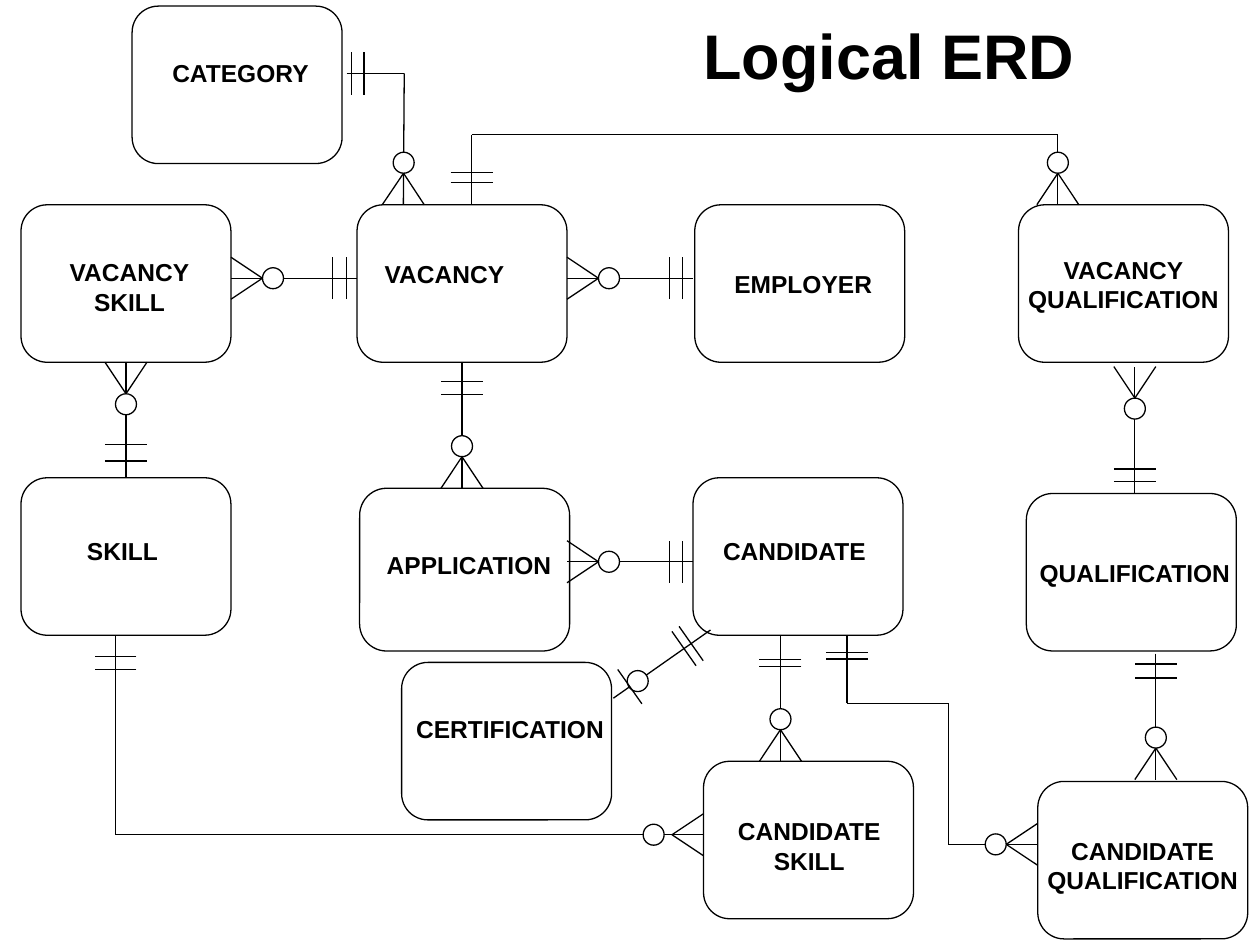
from dataclasses import dataclass
from math import hypot

from lxml.etree import SubElement
from pptx import Presentation
from pptx.dml.color import RGBColor
from pptx.enum.shapes import MSO_CONNECTOR, MSO_SHAPE
from pptx.enum.text import MSO_AUTO_SIZE, PP_ALIGN
from pptx.oxml.ns import qn
from pptx.util import Pt

Point = tuple[float, float]

FONT = "Arial"
BLACK = "000000"
WHITE = "FFFFFF"
LINE_WIDTH = 0.75
ENTITY_WIDTH = 120
FOOT_LENGTH = 18
TICK_HALF = 12
RING_SIZE = 12


@dataclass
class Entity:
    name: str
    left: float
    top: float
    label_center: float
    label_top: float
    label_width: float
    height: float = 90


@dataclass
class Relation:
    route: tuple[Point, ...]
    ticks: tuple[float, float]
    ring: float = 24
    many: bool = True


ENTITIES = [
    Entity("CATEGORY", 75.5, 3.5, 137.5, 29.5, 93.5),
    Entity("VACANCY\nSKILL", 12, 117, 74, 143.5, 83.5),
    Entity("VACANCY", 204, 117, 254, 144.5, 83.5),
    Entity("EMPLOYER", 397, 117, 459, 150, 93),
    Entity("VACANCY\nQUALIFICATION", 582, 117, 642, 142, 124),
    Entity("SKILL", 12, 273, 70, 303, 55),
    Entity("APPLICATION", 205.5, 279, 268, 311, 109.5, 93),
    Entity("CANDIDATE", 396, 273, 454, 303, 97),
    Entity("QUALIFICATION", 586.5, 282, 648.5, 315.5, 124),
    Entity("CERTIFICATION", 229.5, 378.5, 291.5, 404.5, 122.5),
    Entity("CANDIDATE\nSKILL", 402, 435, 462.5, 463, 97),
    Entity("CANDIDATE\nQUALIFICATION", 593, 446.5, 653, 474, 124),
]

RELATIONS = [
    Relation(((198, 42), (231, 42), (230.5, 117)), (3, 10)),
    Relation(((204, 159), (132, 159)), (6, 14)),
    Relation(((396, 159), (324, 159)), (6, 13.5)),
    Relation(((269.5, 117), (269.5, 77), (604.5, 77), (604.5, 117)), (12.5, 18.5)),
    Relation(((72, 273), (72, 207)), (9.5, 19)),
    Relation(((264, 207), (264, 279)), (11, 18.5)),
    Relation(((396, 321), (324, 321)), (6, 13.5)),
    Relation(((648.5, 281.5), (648.5, 209.5)), (6.5, 13.5)),
    Relation(((660.5, 373.5), (660.5, 445.5)), (6, 14)),
    Relation(((66, 363), (66, 477), (402, 477)), (12, 19.5), ring=28.5),
    Relation(((446, 363), (446, 435)), (14, 18)),
    Relation(((484, 363), (484, 402), (542, 402), (542, 482.5), (593, 482.5)), (10, 13.5)),
    Relation(((406, 360), (350.5, 399)), (13.5, 18.5), ring=17, many=False),
]


def color(hex_value: str) -> RGBColor:
    return RGBColor.from_string(hex_value)


def add_outlined(s, kind, left: float, top: float, width: float, height: float):
    sp = s.shapes.add_shape(kind, Pt(left), Pt(top), Pt(width), Pt(height))
    sp.shadow.inherit = False
    sp.fill.solid()
    sp.fill.fore_color.rgb = color(WHITE)
    sp.line.color.rgb = color(BLACK)
    sp.line.width = Pt(LINE_WIDTH)
    return sp


def add_label(s, text: str, left: float, top: float, width: float,
              height: float, size: float, wrap: bool) -> None:
    tf = s.shapes.add_textbox(Pt(left), Pt(top), Pt(width), Pt(height)).text_frame
    tf.word_wrap = wrap
    tf.auto_size = MSO_AUTO_SIZE.SHAPE_TO_FIT_TEXT
    tf.text = text
    for p in tf.paragraphs:
        p.alignment = PP_ALIGN.CENTER
        p.font.name = FONT
        p.font.size = Pt(size)
        p.font.bold = True
        p.font.color.rgb = color(BLACK)


def add_line(s, start: Point, end: Point):
    c = s.shapes.add_connector(MSO_CONNECTOR.STRAIGHT, *map(Pt, start + end))
    c.line.color.rgb = color(BLACK)
    c.line.width = Pt(LINE_WIDTH)
    SubElement(c._element.spPr, qn("a:effectLst"))
    return c


def add_entity(s, e: Entity) -> dict:
    sp = add_outlined(s, MSO_SHAPE.FLOWCHART_ALTERNATE_PROCESS,
                      e.left, e.top, ENTITY_WIDTH, e.height)
    label_height = 41 if "\n" in e.name else 24.5
    add_label(s, e.name, e.label_center - e.label_width / 2, e.label_top,
              e.label_width, label_height, 14, False)
    middle_x, middle_y = e.left + ENTITY_WIDTH / 2, e.top + e.height / 2
    sides = [(middle_x, e.top), (e.left, middle_y),
             (middle_x, e.top + e.height), (e.left + ENTITY_WIDTH, middle_y)]
    return {side: (sp, i) for i, side in enumerate(sides)}


def offset(origin: Point, toward: Point, along: float, across: float = 0) -> Point:
    dx, dy = toward[0] - origin[0], toward[1] - origin[1]
    length = hypot(dx, dy)
    ux, uy = dx / length, dy / length
    return origin[0] + ux * along - uy * across, origin[1] + uy * along + ux * across


def add_tick(s, origin: Point, toward: Point, along: float) -> None:
    add_line(s, offset(origin, toward, along, -TICK_HALF),
             offset(origin, toward, along, TICK_HALF))


def add_relation(s, rel: Relation, sites: dict) -> None:
    for start, end in zip(rel.route, rel.route[1:]):
        c = add_line(s, start, end)
        if start in sites:
            c.begin_connect(*sites[start])
        if end in sites:
            c.end_connect(*sites[end])
    for along in rel.ticks:
        add_tick(s, rel.route[0], rel.route[1], along)
    end, before = rel.route[-1], rel.route[-2]
    x, y = offset(end, before, rel.ring)
    add_outlined(s, MSO_SHAPE.OVAL, x - RING_SIZE / 2, y - RING_SIZE / 2,
                 RING_SIZE, RING_SIZE)
    if rel.many:
        apex = offset(end, before, FOOT_LENGTH)
        for across in (-TICK_HALF, TICK_HALF):
            add_line(s, apex, offset(end, before, 0, across))
    else:
        add_tick(s, end, before, 11.5)


def main() -> None:
    prs = Presentation()
    prs.slide_width, prs.slide_height = Pt(720), Pt(540)
    s = prs.slides.add_slide(prs.slide_layouts[6])
    add_label(s, "Logical ERD", 296, 6, 424, 50.5, 36, True)
    sites = {}
    for e in ENTITIES:
        sites.update(add_entity(s, e))
    for rel in RELATIONS:
        add_relation(s, rel, sites)
    prs.save("out.pptx")


if __name__ == "__main__":
    main()
